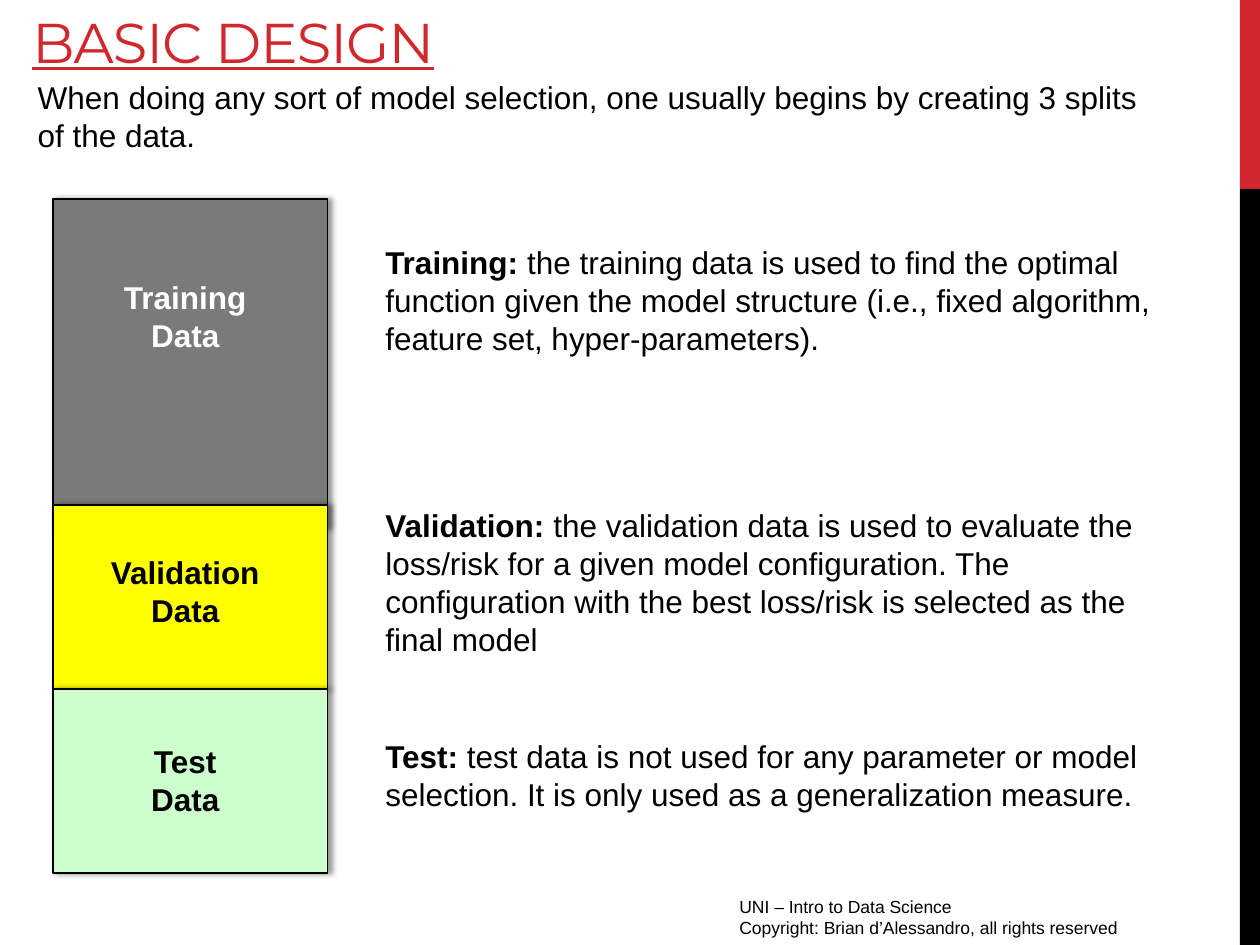
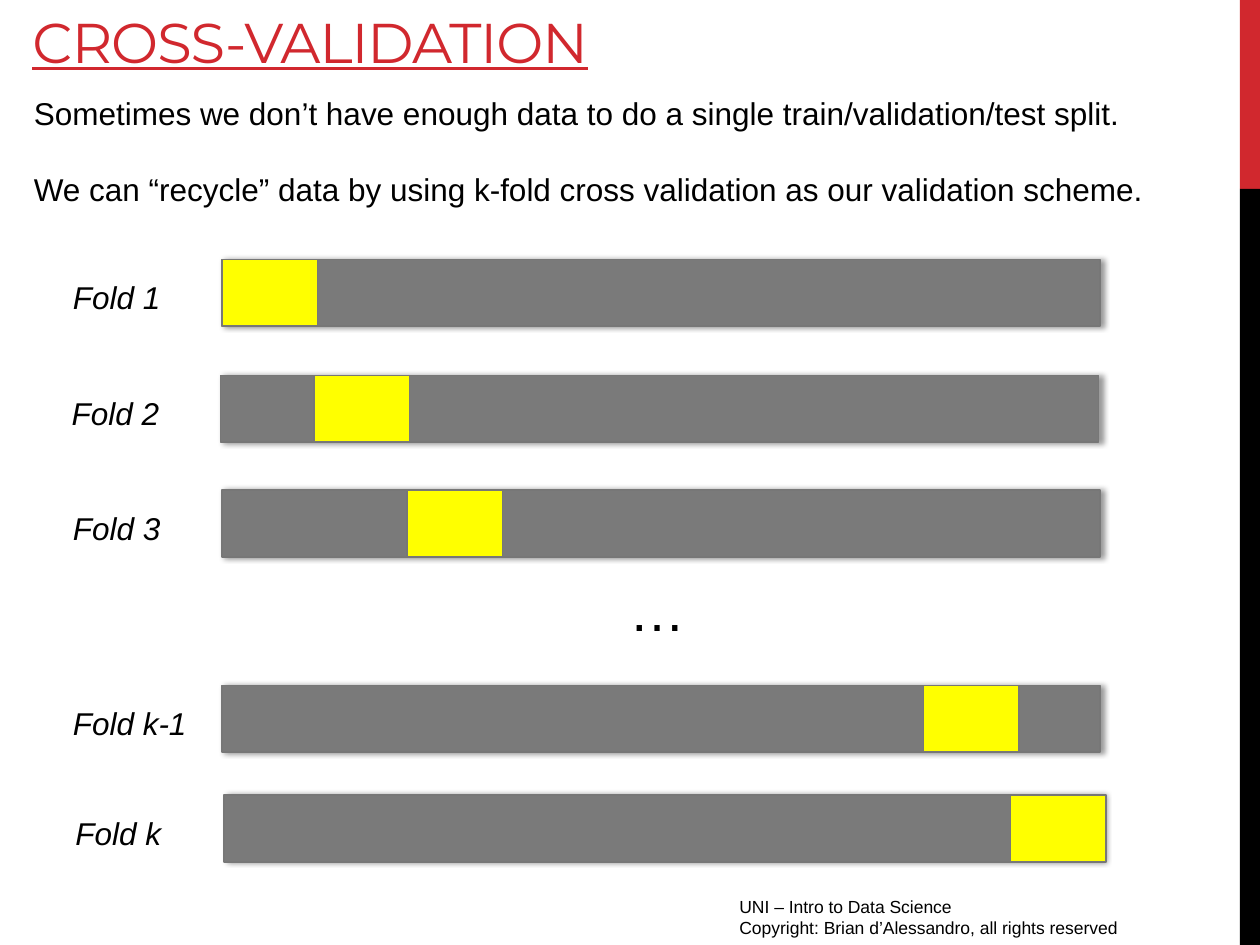
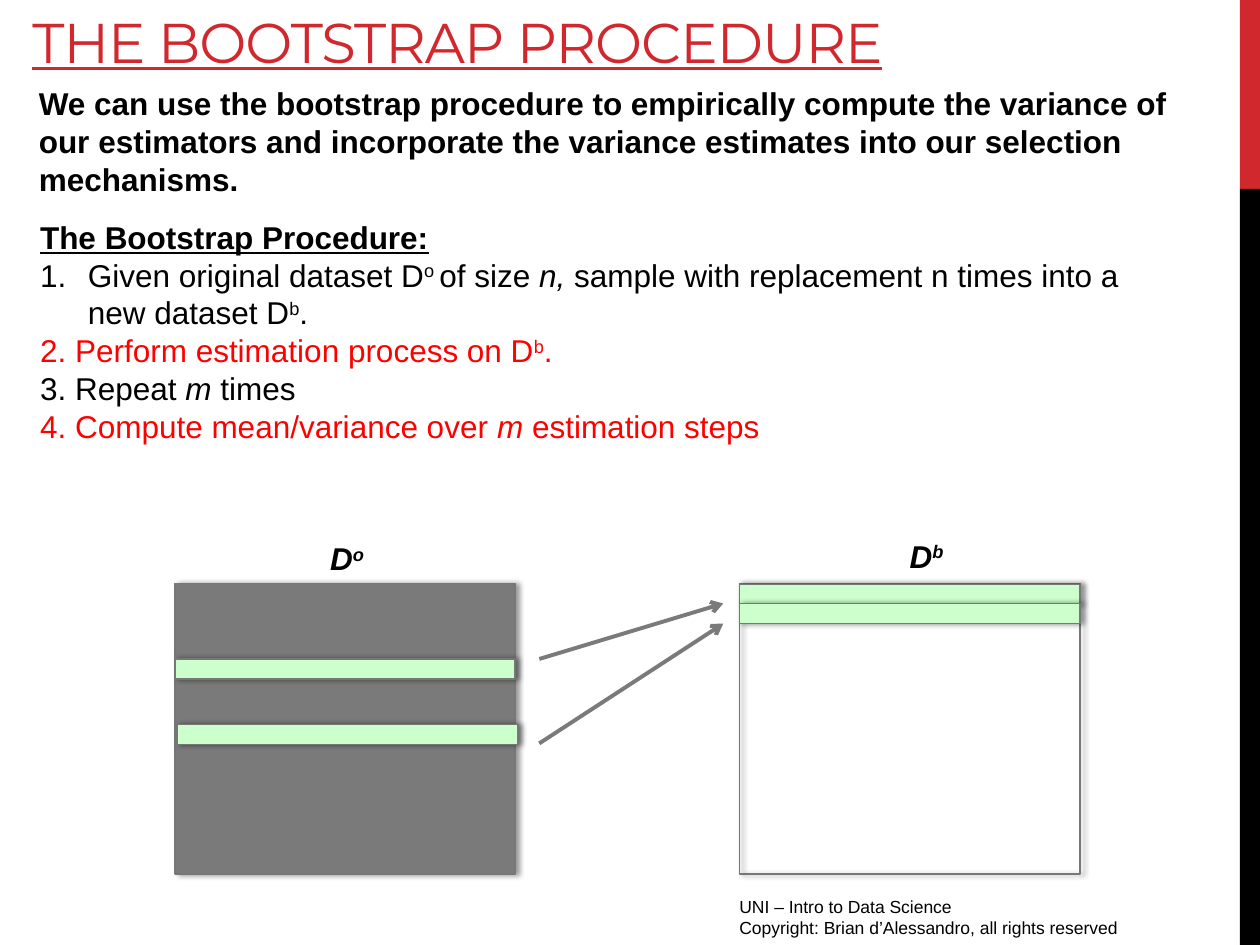
"""Build three slides on data splits, cross-validation and the bootstrap."""
from dataclasses import dataclass, field
from functools import reduce

from lxml.etree import SubElement
from pptx import Presentation
from pptx.dml.color import RGBColor
from pptx.enum.shapes import MSO_CONNECTOR, MSO_SHAPE
from pptx.enum.text import MSO_ANCHOR, MSO_AUTO_SIZE, PP_ALIGN
from pptx.oxml.ns import qn
from pptx.util import Inches, Pt

COLUMNS, ROWS = 10, 7.5
CELL = Inches(1)


@dataclass(frozen=True)
class Theme:
    """Colours, fonts and sizes shared by all slides."""

    accent: str = "D1282E"
    ink: str = "000000"
    paper: str = "FFFFFF"
    alert: str = "FF0000"
    training: str = "7A7A7A"
    validation: str = "FFFF00"
    sample: str = "CCFFCC"
    outline: str = "777777"
    heading_font: str = "Montserrat"
    body_font: str = "Arial"
    heading_size: int = 32
    body_size: int = 18
    footer_size: int = 10


THEME = Theme()


@dataclass
class Line:
    """A paragraph of (text, flags) spans; flags are b, i, u and ^ for superscript."""

    spans: list
    color: str = THEME.ink
    size: int = THEME.body_size
    font: str = THEME.body_font
    align: PP_ALIGN = PP_ALIGN.LEFT
    space_before: float = 0
    numbered: bool = False
    tracking: int = field(default=0)


def plain(text, flags="", **style):
    """Return a line made of one span."""
    return Line([(text, flags)], **style)


def centred(text, flags="", **style):
    """Return a centred line made of one span."""
    return plain(text, flags, align=PP_ALIGN.CENTER, **style)


def grid(*cells):
    """Convert grid columns and rows to slide lengths."""
    return [round(cell * CELL) for cell in cells]


def rgb(color):
    """Return the colour object of a hex value."""
    return RGBColor.from_string(color)


def apply_flags(font, flags):
    """Switch on the emphasis that the flags name."""
    if "b" in flags:
        font.bold = True
    if "i" in flags:
        font.italic = True
    if "u" in flags:
        font.underline = True


def write_line(paragraph, line):
    """Fill a paragraph with a line and its styles."""
    paragraph.alignment = line.align
    paragraph.space_before = Pt(line.space_before)
    font = paragraph.font
    font.name, font.size = line.font, Pt(line.size)
    font.color.rgb = rgb(line.color)
    shared = reduce(set.intersection, (set(flags) for _, flags in line.spans))
    apply_flags(font, shared)
    if line.numbered:
        properties = paragraph._p.get_or_add_pPr()
        indent = Inches(0.38)
        properties.set("marL", str(indent))
        properties.set("indent", str(-indent))
        numbering = properties.makeelement(qn("a:buAutoNum"), {"type": "arabicPeriod"})
        properties.find(qn("a:defRPr")).addprevious(numbering)
    for text, flags in line.spans:
        run = paragraph.add_run()
        run.text = text
        apply_flags(run.font, set(flags) - shared)
        if "^" in flags:
            run._r.get_or_add_rPr().set("baseline", "30000")
        if line.tracking:
            run._r.get_or_add_rPr().set("spc", str(line.tracking))


def add_text(slide, area, *lines, anchor=MSO_ANCHOR.TOP, grow=True):
    """Add a wrapped text box holding the lines."""
    frame = slide.shapes.add_textbox(*grid(*area)).text_frame
    frame.word_wrap = True
    frame.vertical_anchor = anchor
    frame.auto_size = MSO_AUTO_SIZE.SHAPE_TO_FIT_TEXT if grow else MSO_AUTO_SIZE.NONE
    for index, line in enumerate(lines):
        write_line(frame.paragraphs[0] if index == 0 else frame.add_paragraph(), line)


def add_block(slide, area, fill=None, outline=None, shadow=False):
    """Add a rectangle with optional fill, outline and soft shadow."""
    block = slide.shapes.add_shape(MSO_SHAPE.RECTANGLE, *grid(*area))
    if fill:
        block.fill.solid()
        block.fill.fore_color.rgb = rgb(fill)
    else:
        block.fill.background()
    if outline:
        block.line.color.rgb = rgb(outline)
        block.line.width = Pt(1)
    else:
        block.line.fill.background()
    block.shadow.inherit = False
    if shadow:
        effects = block._element.spPr.find(qn("a:effectLst"))
        cast = SubElement(effects, qn("a:outerShdw"), blurRad=str(Pt(3.1)),
                          dist=str(Pt(1.8)), dir="0", rotWithShape="0")
        tint = SubElement(cast, qn("a:srgbClr"), val=THEME.ink)
        SubElement(tint, qn("a:alpha"), val="40000")


def add_arrow(slide, start, end):
    """Add an arrow from start to end."""
    arrow = slide.shapes.add_connector(MSO_CONNECTOR.STRAIGHT, *grid(*start, *end))
    arrow.line.color.rgb = rgb(THEME.training)
    arrow.line.width = Pt(2.25)
    SubElement(arrow.line._get_or_add_ln(), qn("a:tailEnd"), type="arrow")
    SubElement(arrow._element.spPr, qn("a:effectLst"))


def add_slide(deck, title):
    """Add a slide with side bands, footer and title."""
    slide = deck.slides.add_slide(deck.slide_layouts[6])
    band_width, accent_rows = 0.16, ROWS / 5
    band_left = COLUMNS - band_width
    add_block(slide, (band_left, 0, band_width, accent_rows), THEME.accent)
    add_block(slide, (band_left, accent_rows, band_width, ROWS - accent_rows), THEME.ink)
    add_text(slide, (5.77, 7.06, 3.75, 0.31),
             plain("UNI – Intro to Data Science", size=THEME.footer_size),
             plain("Copyright: Brian d’Alessandro, all rights reserved",
                   size=THEME.footer_size), grow=False)
    add_text(slide, (0.16, -0.1, 9.17, 0.74),
             plain(title, "u", color=THEME.accent, size=THEME.heading_size,
                   font=THEME.heading_font, tracking=-60),
             anchor=MSO_ANCHOR.BOTTOM, grow=False)
    return slide


def build_design(deck):
    """Show the three splits of the data and their uses."""
    slide = add_slide(deck, "BASIC DESIGN")
    splits = [
        (1.58, 2.61, THEME.training, THEME.paper, 2.16, ["Training Data"], 1.88, "Training: ",
         "the training data is used to find the optimal function given the model structure "
         "(i.e., fixed algorithm, feature set, hyper-parameters)."),
        (4.01, 1.46, THEME.validation, THEME.ink, 4.34, ["Validation", "Data"], 3.97,
         "Validation: ",
         "the validation data is used to evaluate the loss/risk for a given model "
         "configuration. The configuration with the best loss/risk is selected as the "
         "final model"),
        (5.47, 1.46, THEME.sample, THEME.ink, 5.84, ["Test", "Data"], 5.8, "Test: ",
         "test data is not used for any parameter or model selection. It is only used as "
         "a generalization measure."),
    ]
    for top, height, fill, ink, label_top, label, use_top, term, use in splits:
        add_block(slide, (0.42, top, 2.18, height), fill, THEME.ink, shadow=True)
        add_text(slide, (0.68, label_top, 1.58, 0.69),
                 *(centred(word, "b", color=ink) for word in label))
        add_text(slide, (2.96, use_top, 6.37, 0.71), Line([(term, "b"), (use, "")]))
    add_text(slide, (0.2, 0.57, 8.94, 0.71),
             plain("When doing any sort of model selection, one usually begins by "
                   "creating 3 splits of the data."))


def add_fold(slide, name, top, shift, held_out_left):
    """Add one labelled fold with its held-out part."""
    height = 0.53
    add_block(slide, (1.76 + shift, top, 6.97, height), THEME.training, THEME.outline,
              shadow=True)
    add_text(slide, (0.48 + shift, top + 0.1, 1.14, 0.4), plain(name, "i"))
    add_block(slide, (held_out_left, top, 0.76, height), THEME.validation, THEME.outline)


def build_cross_validation(deck):
    """Show how the held-out part moves from fold to fold."""
    slide = add_slide(deck, "CROSS-VALIDATION")
    add_text(slide, (0.17, 0.7, 9.44, 1.01),
             plain("Sometimes we don’t have enough data to do a single "
                   "train/validation/test split."),
             plain("We can “recycle” data by using k-fold cross validation as our "
                   "validation scheme.", space_before=21.6))
    folds = [("Fold 1", 2.06, 0, 1.76), ("Fold 2", 2.98, -0.01, 2.49),
             ("Fold 3", 3.89, 0, 3.23), ("Fold k-1", 5.44, 0, 7.33),
             ("Fold k", 6.31, 0.02, 8.02)]
    for fold in folds:
        add_fold(slide, *fold)
    add_text(slide, (3.34, 4.52, 3.76, 0.64), centred("…", size=THEME.heading_size))


def add_dataset(slide, left, fill, mark, label_area, samples):
    """Add a dataset with its label and sampled rows."""
    width = 2.7
    add_block(slide, (left, 4.63, width, 2.31), fill, THEME.outline, shadow=True)
    for shift, top in samples:
        add_block(slide, (left + shift, top, width, 0.16), THEME.sample, THEME.outline,
                  shadow=True)
    add_text(slide, label_area,
             Line([("D", "bi"), (mark, "bi^")], align=PP_ALIGN.CENTER))


def build_bootstrap(deck):
    """List the bootstrap steps and show rows being resampled."""
    slide = add_slide(deck, "THE BOOTSTRAP PROCEDURE")
    add_text(slide, (0.21, 0.62, 9.29, 1.01),
             plain("We can use the bootstrap procedure to empirically compute the variance "
                   "of our estimators and incorporate the variance estimates into our "
                   "selection mechanisms.", "b"))
    add_text(slide, (0.22, 1.68, 9.24, 1.92),
             plain("The Bootstrap Procedure:", "bu"),
             Line([("Given original dataset D", ""), ("o ", "^"), ("of size ", ""),
                   ("n,", "i"), (" sample with replacement n times into a new dataset D", ""),
                   ("b", "^"), (".", "")], numbered=True),
             Line([("2. Perform estimation process on D", ""), ("b", "^"), (".", "")],
                  color=THEME.alert),
             Line([("3. Repeat ", ""), ("m ", "i"), ("times", "")]),
             Line([("4. Compute mean/variance over ", ""), ("m ", "i"),
                   ("estimation steps", "")], color=THEME.alert))
    add_dataset(slide, 1.39, THEME.training, "o", (1.94, 4.23, 1.63, 0.4),
                [(0, 5.23), (0.02, 5.75)])
    add_dataset(slide, 5.87, None, "b", (6.54, 4.21, 1.63, 0.4), [(0, 4.64), (0, 4.79)])
    for start_row, end_row in [(5.23, 4.79), (5.9, 4.95)]:
        add_arrow(slide, (4.28, start_row), (5.74, end_row))


def main():
    """Build and save the deck."""
    deck = Presentation()
    deck.slide_width, deck.slide_height = grid(COLUMNS, ROWS)
    build_design(deck)
    build_cross_validation(deck)
    build_bootstrap(deck)
    deck.save("out.pptx")


if __name__ == "__main__":
    main()
